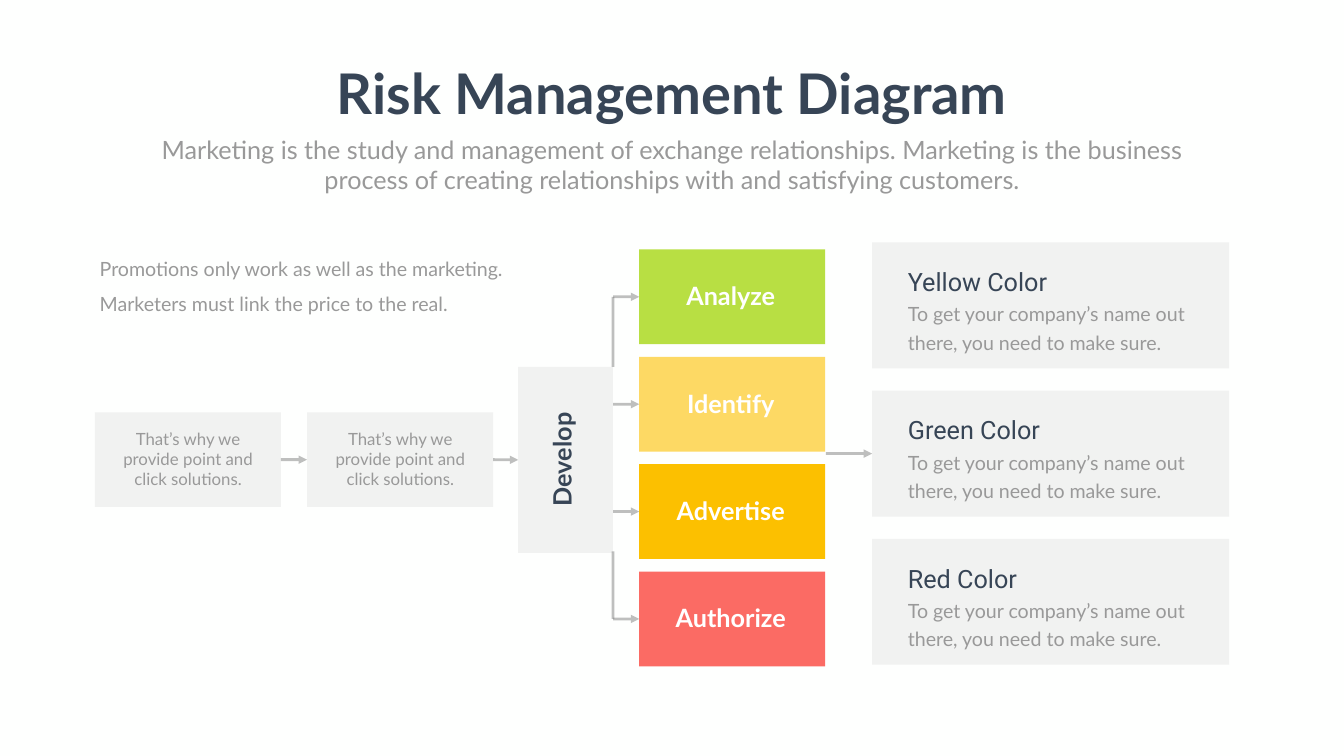
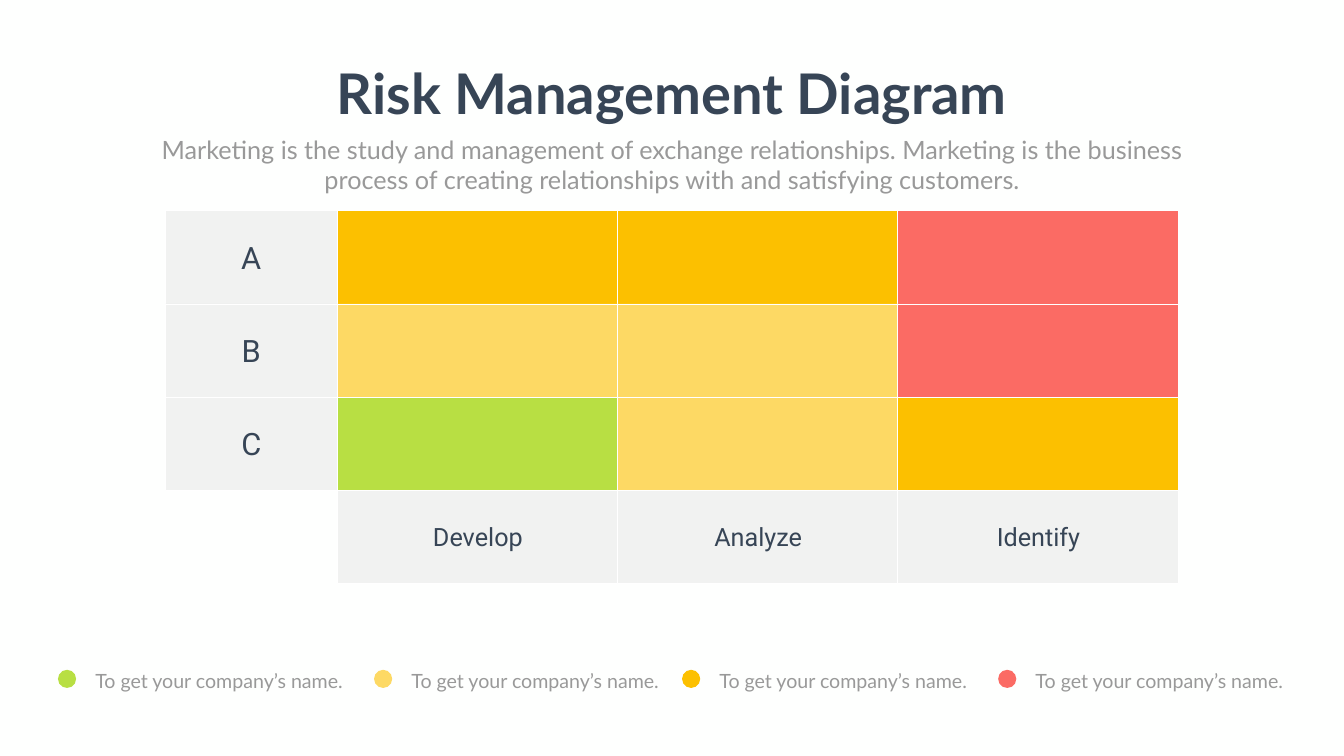
from lxml import etree
from pptx import Presentation
from pptx.dml.color import RGBColor
from pptx.enum import shapes, text
from pptx.oxml import ns
from pptx.util import Inches, Pt

GREEN, YELLOW, AMBER, RED = "B8DF43", "FDD964", "FCC000", "FB6B64"
GRAY, NAVY, MUTED, WHITE, PAPER = "808080", "374556", "999999", "FFFFFF", "FEFFFE"
BODY, HEADING = "Lato", "Roboto"
CENTER, LEFT = text.PP_ALIGN.CENTER, text.PP_ALIGN.LEFT
TOP, LEFT_SIDE, BOTTOM, RIGHT_SIDE = range(4)

TITLE = "Risk Management Diagram"
SUBTITLE = (
    "Marketing is the study and management of exchange relationships. "
    "Marketing is the business process of creating relationships with "
    "and satisfying customers."
)
PROMOTION = (
    "Promotions only work as well as the marketing. "
    "Marketers must link the price to the real."
)
STEP = "That’s why we provide point and click solutions."
CARD_BODY = "To get your company’s name out there, you need to make sure."
LEGEND = "To get your company’s name."


def rgb(value):
    return RGBColor.from_string(value)


def set_color(fill, color, opacity=100):
    fill.solid()
    fill.fore_color.rgb = rgb(color)
    if opacity < 100:
        solid = fill._xPr.find(ns.qn("a:solidFill"))
        alpha = etree.SubElement(solid[0], ns.qn("a:alpha"))
        alpha.set("val", str(opacity * 1000))


def place(left, top, width, height):
    return Inches(left), Inches(top), Inches(width), Inches(height)


def add_block(slide, box, color, opacity=100, border=None,
              kind=shapes.MSO_SHAPE.RECTANGLE):
    block = slide.shapes.add_shape(kind, *place(*box))
    block.shadow.inherit = False
    set_color(block.fill, color, opacity)
    if border:
        set_color(block.line.fill, border)
        block.line.width = Pt(1)
    else:
        block.line.fill.background()
    return block


def add_panel(slide, box, border=None):
    return add_block(slide, box, GRAY, 10, border)


def write(frame, words, size, color, font=BODY, bold=False, align=CENTER,
          spacing=None, wrap=True):
    frame.text = words
    frame.word_wrap = wrap
    frame.auto_size = text.MSO_AUTO_SIZE.SHAPE_TO_FIT_TEXT
    frame.vertical_anchor = text.MSO_ANCHOR.TOP
    paragraph = frame.paragraphs[0]
    paragraph.alignment = align
    if spacing:
        paragraph.line_spacing = spacing
    for run in paragraph.runs:
        run.font.size = Pt(size)
        run.font.name = font
        run.font.bold = bold
        run.font.color.rgb = rgb(color)


def add_label(slide, box, words, size, color, **style):
    label = slide.shapes.add_textbox(*place(*box))
    write(label.text_frame, words, size, color, **style)
    return label


def add_link(slide, start, end, source=None, target=None, arrow=True):
    link = slide.shapes.add_connector(
        shapes.MSO_CONNECTOR.STRAIGHT, *(Inches(value) for value in start + end))
    if source is not None:
        link.begin_connect(source, RIGHT_SIDE)
    if target is not None:
        link.end_connect(target, LEFT_SIDE)
    link.line.width = Pt(4)
    set_color(link.line.fill, GRAY, 50)
    if arrow:
        outline = link._element.spPr.find(ns.qn("a:ln"))
        etree.SubElement(outline, ns.qn("a:tailEnd")).set("type", "triangle")
    etree.SubElement(link._element.spPr, ns.qn("a:effectLst"))


def add_titled_slide(prs):
    slide = prs.slides.add_slide(prs.slide_layouts[5])
    title = slide.shapes.title
    title.left, title.top, title.width, title.height = place(6.46, 1.12, 13.74, 1.45)
    write(title.text_frame, TITLE, 80, NAVY, bold=True, wrap=False)
    add_label(slide, (2.92, 2.61, 20.82, 1.31), SUBTITLE, 36, MUTED)
    return slide


def add_step(slide, left):
    step = add_panel(slide, (left, 8.18, 3.69, 1.88))
    add_label(slide, (left + 0.4, 8.46, 2.9, 1.31), STEP, 24, MUTED)
    return step


def add_card(slide, top, heading):
    card = add_panel(slide, (17.3, top, 7.08, 2.5))
    add_label(slide, (17.91, top + 1.04, 5.72, 1.02), CARD_BODY, 28, MUTED,
              align=LEFT, spacing=Pt(40.8))
    add_label(slide, (17.91, top + 0.43, 5.72, 0.61), heading, 36, NAVY,
              font=HEADING, align=LEFT)
    return card


def add_legend_item(slide, left, color):
    add_block(slide, (left, 13.29, 0.36, 0.36), color, kind=shapes.MSO_SHAPE.OVAL)
    item = add_label(slide, (left + 0.5, 13.05, 5.48, 0.75), LEGEND, 28, MUTED,
                     align=LEFT, spacing=Pt(40.8))
    frame = item.text_frame
    frame.margin_left = frame.margin_right = Inches(0.24)
    frame.margin_top = frame.margin_bottom = Inches(0.12)


def build_process(prs):
    slide = add_titled_slide(prs)
    add_label(slide, (1.88, 4.81, 8.67, 1.42), PROMOTION, 28, MUTED,
              align=LEFT, spacing=1.5)

    first_step, second_step = [add_step(slide, left) for left in (1.88, 6.09)]
    develop = add_panel(slide, (10.28, 7.28, 1.88, 3.69))
    develop_label = add_label(slide, (9.84, 8.76, 2.61, 0.71), "Develop", 36, NAVY,
                              bold=True)
    develop_label.rotation = 270
    add_link(slide, (5.57, 9.12), (6.09, 9.12), first_step, second_step)
    add_link(slide, (9.78, 9.12), (10.28, 9.12), second_step, develop)

    trunk = 12.16
    actions = [("Analyze", GREEN), ("Identify", YELLOW),
               ("Advertise", AMBER), ("Authorize", RED)]
    for row, (name, color) in enumerate(actions):
        top = 4.95 + row * 2.13
        middle = top + 0.94
        action = add_block(slide, (12.68, top, 3.69, 1.88), color)
        add_label(slide, (13.19, top + 0.57, 2.61, 0.71), name, 36, WHITE, bold=True)
        add_link(slide, (trunk, middle), (12.68, middle), target=action)
    add_link(slide, (trunk, 5.89), (trunk, 7.28), arrow=False)
    add_link(slide, (trunk, 10.94), (trunk, 12.28), arrow=False)

    headings = ["Yellow Color", "Green Color", "Red Color"]
    cards = [add_card(slide, 4.81 + row * 2.94, heading)
             for row, heading in enumerate(headings)]
    add_link(slide, (16.38, 9), (17.3, 9), target=cards[1])


def build_matrix(prs):
    slide = add_titled_slide(prs)
    left, top, cell_width, cell_height = 6.69, 4.18, 5.56, 1.85
    risks = {
        "A": (AMBER, AMBER, RED),
        "B": (YELLOW, YELLOW, RED),
        "C": (GREEN, YELLOW, AMBER),
    }
    for row, (name, colors) in enumerate(risks.items()):
        row_top = top + row * cell_height
        add_panel(slide, (3.28, row_top, 3.41, cell_height), WHITE)
        add_label(slide, (4.41, row_top + 0.5, 1.15, 0.84), name, 44, NAVY,
                  font=HEADING)
        for column, color in enumerate(colors):
            add_block(slide, (left + column * cell_width, row_top,
                              cell_width, cell_height), color, border=WHITE)

    footer_top = top + len(risks) * cell_height
    for column, name in enumerate(("Develop", "Analyze", "Identify")):
        column_left = left + column * cell_width
        add_panel(slide, (column_left, footer_top, cell_width, cell_height), WHITE)
        add_label(slide, (column_left + 0.94, footer_top + 0.57, 3.7, 0.71), name,
                  36, NAVY, font=HEADING)

    for item_left, color in zip((1.15, 7.42, 13.53, 19.8),
                                (GREEN, YELLOW, AMBER, RED)):
        add_legend_item(slide, item_left, color)


def main():
    prs = Presentation()
    prs.slide_width, prs.slide_height = Inches(26.66), Inches(15)
    set_color(prs.slide_master.background.fill, PAPER)
    build_process(prs)
    build_matrix(prs)
    prs.save("out.pptx")


if __name__ == "__main__":
    main()
